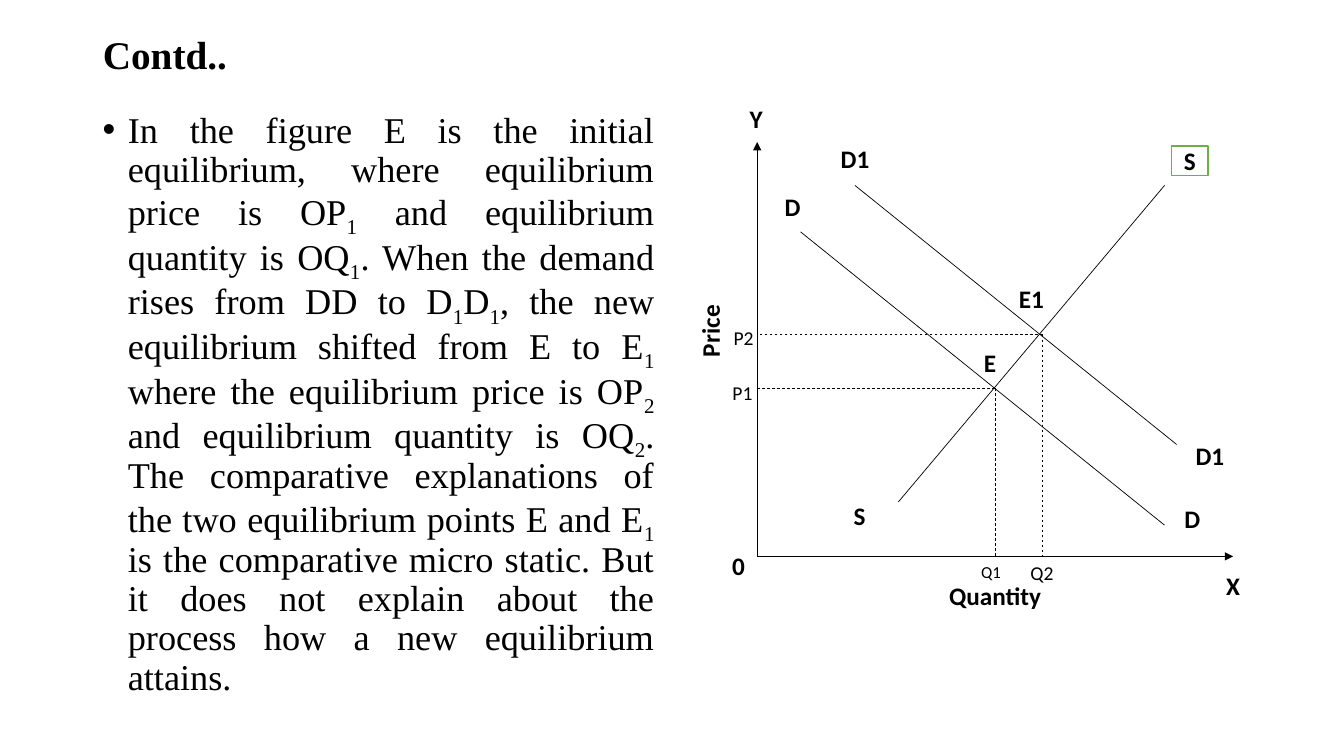
from dataclasses import dataclass
from typing import Optional

from lxml import etree
from pptx import Presentation
from pptx.dml.color import RGBColor
from pptx.enum.dml import MSO_LINE_DASH_STYLE as Dash
from pptx.enum.shapes import MSO_CONNECTOR as Connector, MSO_SHAPE as Shape
from pptx.enum.text import MSO_ANCHOR as Anchor, PP_ALIGN as Align
from pptx.oxml.ns import qn
from pptx.util import Inches, Pt

BLACK = RGBColor(0x00, 0x00, 0x00)
WHITE = RGBColor(0xFF, 0xFF, 0xFF)
GREEN = RGBColor(0x70, 0xAD, 0x47)
SERIF = "Times New Roman"
SANS = "Calibri"
LINE_SPACING = 0.9

ORIGIN_X, ORIGIN_Y = 7.51, 5.52
E_X, E_Y = 9.87, 3.85
E1_X, E1_Y = 10.34, 3.32


@dataclass(frozen=True)
class Segment:
    x1: float
    y1: float
    x2: float
    y2: float
    dashed: bool = False
    arrow: bool = False


@dataclass(frozen=True)
class Label:
    text: str
    left: float
    top: float
    width: float
    height: float
    size: float = 18
    bold: bool = True
    fill: Optional[RGBColor] = None
    outline: Optional[RGBColor] = None
    rotation: float = 0


SEGMENTS = [
    Segment(ORIGIN_X, ORIGIN_Y, ORIGIN_X, 1.41, arrow=True),
    Segment(ORIGIN_X, ORIGIN_Y, 12.23, ORIGIN_Y, arrow=True),
    Segment(7.94, 2.3, 11.55, 5.21),
    Segment(8.48, 1.84, 11.77, 4.49),
    Segment(8.91, 4.98, 11.55, 1.84),
    Segment(E_X, E_Y, E_X, ORIGIN_Y, dashed=True),
    Segment(E_X, E_Y, ORIGIN_X, E_Y, dashed=True),
    Segment(E1_X, E1_Y, 7.53, E1_Y, dashed=True),
    Segment(E1_X, E1_Y, E1_X, ORIGIN_Y, dashed=True),
]

LABELS = [
    Label("E", 9.52, 3.47, 0.6, 0.25),
    Label("E1", 9.86, 2.78, 0.74, 0.36),
    Label("S", 11.62, 1.45, 0.36, 0.29, outline=GREEN),
    Label("D", 7.59, 1.87, 0.54, 0.35, fill=WHITE),
    Label("D", 11.62, 4.98, 0.41, 0.32, fill=WHITE),
    Label("D1", 8.08, 1.4, 0.8, 0.35, fill=WHITE),
    Label("D1", 11.67, 4.34, 0.66, 0.36, fill=WHITE),
    Label("Quantity", 9.14, 5.73, 1.46, 0.36, fill=WHITE),
    Label("Price", 6.47, 3.13, 1.14, 0.31, fill=WHITE, rotation=270),
    Label("0", 7.05, 5.47, 0.55, 0.28),
    Label("S", 8.28, 4.94, 0.49, 0.34),
    Label("X", 11.86, 5.59, 0.74, 0.44),
    Label("Y", 7.19, 0.98, 0.62, 0.39),
    Label("Q1", 9.45, 5.47, 0.76, 0.41, size=12, bold=False),
    Label("Q2", 10.05, 5.48, 0.57, 0.41, size=14, bold=False),
    Label("P1", 7.08, 3.69, 0.57, 0.41, size=14, bold=False),
    Label("P2", 7.09, 3.14, 0.57, 0.41, size=14, bold=False),
]

# Normal text and subscripts alternate.
EXPLANATION = [
    "In the figure E is the initial equilibrium, where equilibrium price is OP", "1",
    " and equilibrium quantity is OQ", "1",
    ". When the demand rises from DD to D", "1",
    "D", "1",
    ", the new equilibrium shifted from E to E", "1",
    " where the equilibrium price is OP", "2",
    " and equilibrium quantity is OQ", "2",
    ". The comparative explanations of the two equilibrium points E and E", "1",
    " is the comparative micro static. But it does not explain about the "
    "process how a new equilibrium attains.",
]


def add_run(paragraph, text: str, font: str, size: float, bold: bool = False):
    run = paragraph.add_run()
    run.text = text
    run.font.name = font
    run.font.size = Pt(size)
    run.font.bold = bold
    run.font.color.rgb = BLACK
    return run


def add_title(slide) -> None:
    title = slide.shapes.title
    title.left, title.top = Inches(0.92), Inches(0.4)
    title.width, title.height = Inches(11.5), Inches(0.33)
    title.text_frame.vertical_anchor = Anchor.MIDDLE
    heading = title.text_frame.paragraphs[0]
    heading.alignment = Align.LEFT
    heading.line_spacing = LINE_SPACING
    add_run(heading, "Contd..", SERIF, 28, bold=True)


def add_explanation(slide) -> None:
    box = slide.shapes.add_textbox(Inches(0.92), Inches(1.06), Inches(5.67), Inches(5.69))
    box.text_frame.word_wrap = True
    paragraph = box.text_frame.paragraphs[0]
    paragraph.alignment = Align.JUSTIFY
    paragraph.line_spacing = LINE_SPACING
    properties = paragraph._p.get_or_add_pPr()
    properties.set("marL", str(Inches(0.25)))
    properties.set("indent", str(Inches(-0.25)))
    etree.SubElement(properties, qn("a:buFont"), typeface="Arial")
    etree.SubElement(properties, qn("a:buChar"), char="•")
    for index, text in enumerate(EXPLANATION):
        run = add_run(paragraph, text, SERIF, 25.9)
        if index % 2:
            run.font._element.set("baseline", "-25000")


def add_segment(slide, segment: Segment) -> None:
    connector = slide.shapes.add_connector(
        Connector.STRAIGHT, Inches(segment.x1), Inches(segment.y1),
        Inches(segment.x2), Inches(segment.y2))
    connector.line.color.rgb = BLACK
    connector.line.width = Pt(0.5)
    if segment.dashed:
        connector.line.dash_style = Dash.DASH
    if segment.arrow:
        etree.SubElement(connector.line._get_or_add_ln(), qn("a:tailEnd"), type="triangle")
    etree.SubElement(connector._element.spPr, qn("a:effectLst"))


def add_label(slide, label: Label) -> None:
    box = slide.shapes.add_shape(
        Shape.RECTANGLE, Inches(label.left), Inches(label.top),
        Inches(label.width), Inches(label.height))
    box.shadow.inherit = False
    box.rotation = label.rotation
    if label.fill is None:
        box.fill.background()
    else:
        box.fill.solid()
        box.fill.fore_color.rgb = label.fill
    if label.outline is None:
        box.line.fill.background()
    else:
        box.line.color.rgb = label.outline
        box.line.width = Pt(1)
    frame = box.text_frame
    frame.word_wrap = True
    frame.vertical_anchor = Anchor.MIDDLE
    frame.margin_left = frame.margin_right = frame.margin_top = frame.margin_bottom = 0
    paragraph = frame.paragraphs[0]
    paragraph.alignment = Align.CENTER
    add_run(paragraph, label.text, SANS, label.size, label.bold)


def main() -> None:
    deck = Presentation()
    deck.slide_width, deck.slide_height = Inches(13.33), Inches(7.5)
    slide = deck.slides.add_slide(deck.slide_layouts[5])
    add_title(slide)
    add_explanation(slide)
    for segment in SEGMENTS:
        add_segment(slide, segment)
    for label in LABELS:
        add_label(slide, label)
    deck.save("out.pptx")


if __name__ == "__main__":
    main()
